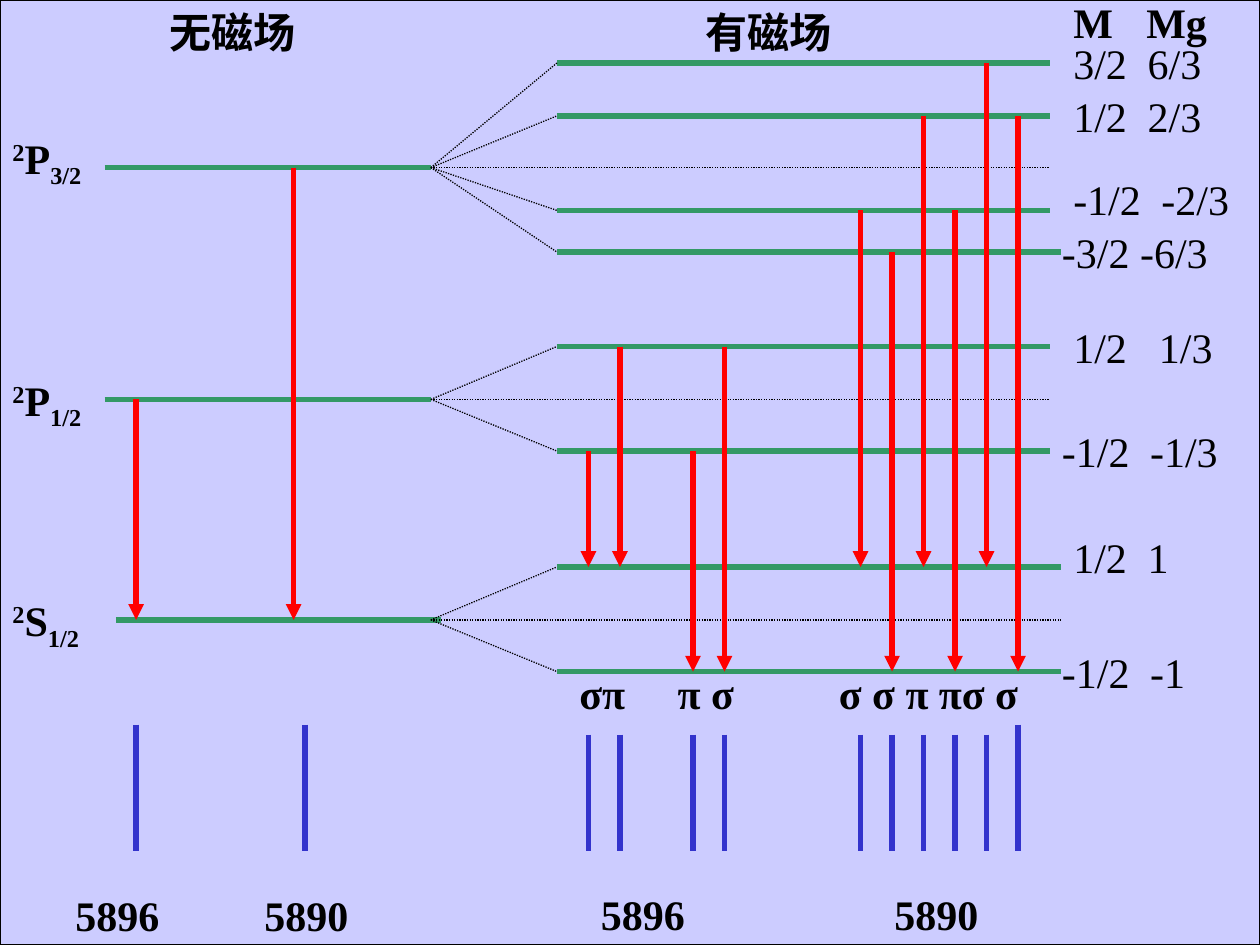
from lxml import etree
from pptx import Presentation
from pptx.dml.color import RGBColor
from pptx.enum.dml import MSO_LINE
from pptx.enum.shapes import MSO_CONNECTOR, MSO_SHAPE
from pptx.enum.text import MSO_AUTO_SIZE
from pptx.oxml.ns import qn
from pptx.util import Inches, Pt

STRAIGHT, RECT = MSO_CONNECTOR.STRAIGHT, MSO_SHAPE.RECTANGLE
DOTTED, GROW = MSO_LINE.ROUND_DOT, MSO_AUTO_SIZE.SHAPE_TO_FIT_TEXT

THEME = {
    "background": RGBColor(0xCC, 0xCC, 0xFF),
    "ink": RGBColor(0, 0, 0),
    "level": RGBColor(0x33, 0x99, 0x66),
    "transition": RGBColor(0xFF, 0, 0),
    "spectrum": RGBColor(0x33, 0x33, 0xCC),
    "font": "Times New Roman",
    "size": Pt(24),
    "thin": Pt(0.75),
    "thick": Pt(3),
}

prs = Presentation()
prs.slide_width, prs.slide_height = Inches(10), Inches(7.5)
s = prs.slides.add_slide(prs.slide_layouts[6])


def add_line(x1, y1, x2, y2, color, dash=None, arrow=False):
    ln = s.shapes.add_connector(STRAIGHT, Inches(x1), Inches(y1), Inches(x2), Inches(y2))
    fmt = {"width": THEME["thin" if dash else "thick"], "dash_style": dash}
    for name, value in fmt.items():
        setattr(ln.line, name, value)
    ln.line.color.rgb = THEME[color]
    sp_pr = ln._element.spPr
    if arrow:
        etree.SubElement(sp_pr.find(qn("a:ln")), qn("a:tailEnd"), type="triangle")
    etree.SubElement(sp_pr, qn("a:effectLst"))


def add_text(x, y, w, runs, bold=True, tabs=()):
    """Runs are (text, baseline in thousandths of a percent); tabs are inches from the text edge."""
    tb = s.shapes.add_textbox(Inches(x), Inches(y), Inches(w), Inches(0.5))
    tf = tb.text_frame
    tf.word_wrap, tf.auto_size = True, GROW
    p = tf.paragraphs[0]
    if tabs:
        tab_list = etree.SubElement(p._p.get_or_add_pPr(), qn("a:tabLst"))
        for pos in tabs:
            etree.SubElement(tab_list, qn("a:tab"), pos=str(Inches(pos)), algn="l")
    fmt = {"name": THEME["font"], "size": THEME["size"], "bold": bold}
    for text, baseline in runs:
        r = p.add_run()
        r.text = text
        for name, value in fmt.items():
            setattr(r.font, name, value)
        r.font.color.rgb = THEME["ink"]
        if baseline:
            r._r.get_or_add_rPr().set("baseline", str(baseline))


# Background panel
sp = s.shapes.add_shape(RECT, 0, 0, prs.slide_width, prs.slide_height)
sp.shadow.inherit = False
sp.fill.solid()
sp.fill.fore_color.rgb = THEME["background"]
sp.line.color.rgb = THEME["ink"]
sp.line.width = THEME["thin"]

# Energy levels: unsplit level on the left, its sublevels on the right
FORK, SPLIT = 3.42, 4.42
levels = [
    # letter, J, label top, label width, y, left, right, dotted end, sublevels (y, right)
    ("P", "3/2", 1, 1.08, 1.33, 0.83, 3.42, 8.33,
     [(0.5, 8.33), (0.92, 8.33), (1.67, 8.33), (2, 8.42)]),
    ("P", "1/2", 2.92, 1.33, 3.17, 0.83, 3.42, 8.33, [(2.75, 8.33), (3.58, 8.33)]),
    ("S", "1/2", 4.67, 1, 4.92, 0.92, 3.5, 8.42, [(4.5, 8.42), (5.33, 8.42)]),
]
for letter, j, top, width, y, left, right, dotted_end, sublevels in levels:
    add_line(left, y, right, y, "level")
    add_line(FORK, y, dotted_end, y, "ink", DOTTED)
    add_text(0, top, width, [("2", 30000), (letter, 0), (j, -25000)])
    for sub_y, sub_right in sublevels:
        add_line(SPLIT, sub_y, sub_right, sub_y, "level")
        add_line(FORK, y, SPLIT, sub_y, "ink", DOTTED)

# Transitions: x, upper level, lower level
transitions = [
    (1.08, 3.17, 4.92), (2.33, 1.33, 4.92),
    (4.67, 3.58, 4.5), (4.92, 2.75, 4.5), (5.5, 3.58, 5.33), (5.75, 2.75, 5.33),
    (6.83, 1.67, 4.5), (7.08, 2, 5.33), (7.33, 0.92, 4.5),
    (7.58, 1.67, 5.33), (7.83, 0.5, 4.5), (8.08, 0.92, 5.33),
]
for x, upper, lower in transitions:
    add_line(x, upper, x, lower, "transition", arrow=True)

# Spectral lines: the outermost ones start a little higher
for x in (1.08, 2.42, 4.67, 4.92, 5.5, 5.75, 6.83, 7.08, 7.33, 7.58, 7.83, 8.08):
    add_line(x, 5.75 if x in (1.08, 2.42, 8.08) else 5.83, x, 6.75, "spectrum")

# Headings, polarisations and wavelengths
for x, y, w, text, tabs in [
    (1.25, 0, 1.83, "无磁场", ()),
    (5.5, 0, 2.17, "有磁场", ()),
    (8.42, -0.08, 0.67, "M", ()),
    (9, -0.08, 1, "Mg", ()),
    (4.5, 5.25, 5.17, "σπ\tπ σ\tσ σ π πσ σ", (0.78, 2.06)),
    (0.5, 7.01, 1.33, "5896", ()),
    (2, 7.01, 1.58, "5890", ()),
    (4.67, 7, 1.33, "5896", ()),
    (7, 7, 1.58, "5890", ()),
]:
    add_text(x, y, w, [(text, 0)], tabs=tabs)

# M and Mg values beside the sublevels
for x, y, w, text, tab in [
    (8.42, 0.25, 1.25, "3/2\t6/3", 0.59),
    (8.42, 0.67, 1.5, "1/2\t2/3", 0.59),
    (8.42, 1.33, 1.67, "-1/2\t-2/3", 0.7),
    (8.33, 1.75, 1.83, "-3/2 -6/3", None),
    (8.42, 2.5, 1.5, "1/2\t1/3", 0.68),
    (8.33, 3.33, 1.5, "-1/2\t-1/3", 0.7),
    (8.42, 4.17, 1.5, "1/2\t1", 0.59),
    (8.33, 5.08, 1.42, "-1/2\t-1", 0.7),
]:
    add_text(x, y, w, [(text, 0)], bold=False, tabs=(tab,) if tab else ())

prs.save("out.pptx")
